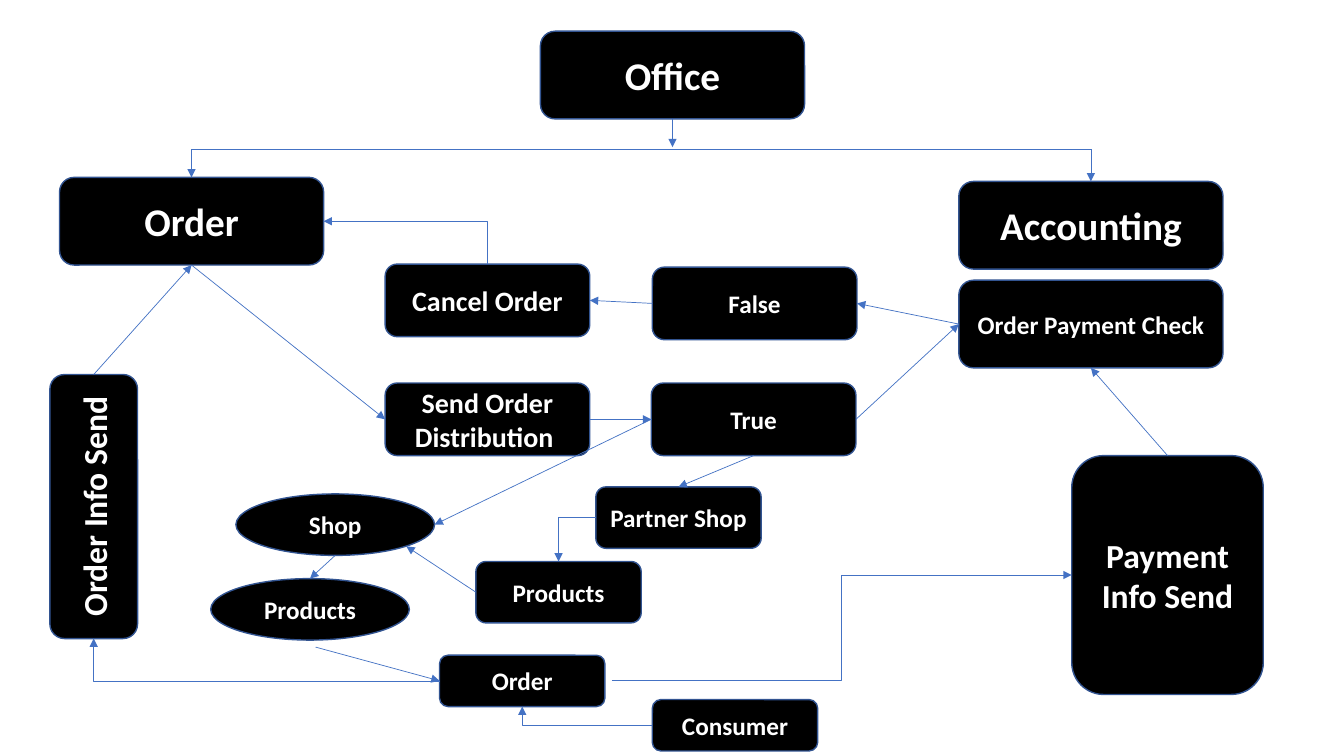
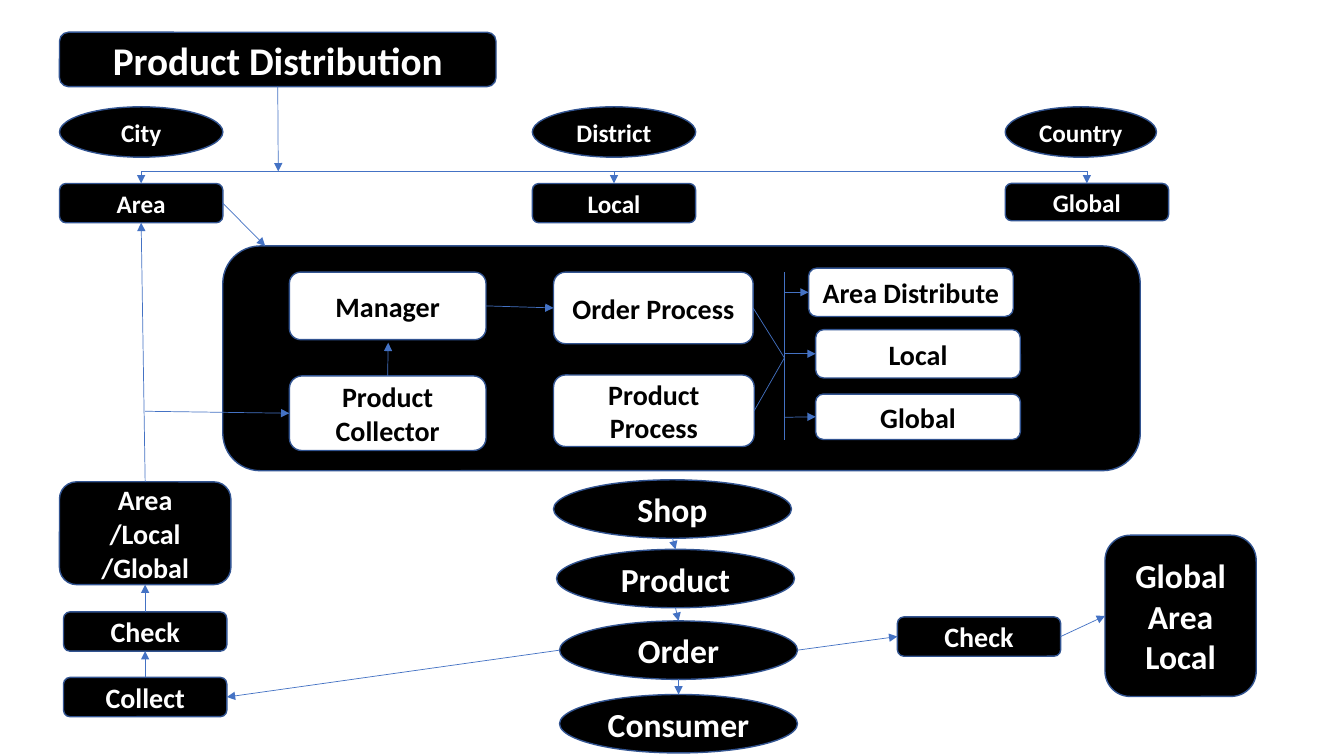
from dataclasses import dataclass
from typing import NamedTuple

from lxml.etree import SubElement
from pptx import Presentation
from pptx.dml.color import RGBColor
from pptx.enum.shapes import MSO_CONNECTOR as Connector, MSO_SHAPE as Preset
from pptx.enum.text import MSO_ANCHOR as Anchor, PP_ALIGN as Align
from pptx.oxml.ns import qn
from pptx.util import Inches, Pt

FONT = "Calibri"
COLORS = {
    "black": "000000",
    "white": "FFFFFF",
    "outline": "325491",
    "arrow": "4472C4",
}
SIDES = ["top", "left", "bottom", "right"]
ROUND = Preset.ROUNDED_RECTANGLE
OVAL = Preset.OVAL
Point = tuple[float, float]


@dataclass
class Box:
    key: str
    text: str
    left: float
    top: float
    width: float
    height: float
    size: int = 18
    preset: Preset = ROUND
    fill: str = "black"
    ink: str = "white"
    rotation: int = 0

    @property
    def turns(self) -> int:
        return (360 - self.rotation) // 90 % 4

    def point(self, side: str) -> Point:
        half_width, half_height = self.width / 2, self.height / 2
        x, y = self.left + half_width, self.top + half_height
        if self.turns % 2:
            half_width, half_height = half_height, half_width
        dx, dy = {"top": (0, -1), "left": (-1, 0), "bottom": (0, 1), "right": (1, 0)}[side]
        return x + dx * half_width, y + dy * half_height

    def site(self, side: str) -> int:
        index = (SIDES.index(side) - self.turns) % 4
        return index * 2 if self.preset == OVAL else index


class Link(NamedTuple):
    start: str | Point
    end: str | Point
    geometry: str = "line"
    arrow: str = "tailEnd"


def white_box(key: str, text: str, left: float, top: float, width: float, height: float) -> Box:
    return Box(key, text, left, top, width, height, 20, fill="white", ink="black")


def color(name: str) -> RGBColor:
    return RGBColor.from_string(COLORS[name])


def draw_box(slide, box: Box):
    shape = slide.shapes.add_shape(
        box.preset, Inches(box.left), Inches(box.top), Inches(box.width), Inches(box.height)
    )
    shape.rotation = box.rotation
    shape.shadow.inherit = False
    shape.fill.solid()
    shape.fill.fore_color.rgb = color(box.fill)
    shape.line.color.rgb = color("outline")
    shape.line.width = Pt(1)
    if not box.text:
        return shape
    frame = shape.text_frame
    frame.word_wrap = True
    frame.vertical_anchor = Anchor.MIDDLE
    paragraph = frame.paragraphs[0]
    paragraph.alignment = Align.CENTER
    for number, line in enumerate(box.text.split("\n")):
        if number:
            paragraph.add_line_break()
        run = paragraph.add_run()
        run.text = line
        run.font.name = FONT
        run.font.size = Pt(box.size)
        run.font.bold = True
        run.font.color.rgb = color(box.ink)
    return shape


def draw_link(slide, link: Link, boxes: dict, shapes: dict) -> None:
    points, glue = [], []
    for tag, target in (("a:stCxn", link.start), ("a:endCxn", link.end)):
        if isinstance(target, str):
            key, side = target.split(".")
            points.append(boxes[key].point(side))
            glue.append((tag, shapes[key].shape_id, boxes[key].site(side)))
        else:
            points.append(target)
    straight = link.geometry == "line"
    (x1, y1), (x2, y2) = points
    connector = slide.shapes.add_connector(
        Connector.STRAIGHT if straight else Connector.ELBOW,
        Inches(x1), Inches(y1), Inches(x2), Inches(y2),
    )
    connector.line.color.rgb = color("arrow")
    connector.line.width = Pt(0.5)
    properties = connector._element.spPr
    properties.find(qn("a:prstGeom")).set("prst", link.geometry)
    if link.arrow:
        SubElement(properties.find(qn("a:ln")), qn(f"a:{link.arrow}"), type="triangle")
    SubElement(properties, qn("a:effectLst"))
    if straight:
        holder = connector._element.xpath("./p:nvCxnSpPr/p:cNvCxnSpPr")[0]
        for tag, shape_id, site in glue:
            SubElement(holder, qn(tag), id=str(shape_id), idx=str(site))


def draw_flowchart(presentation, boxes: list[Box], links: list[Link]) -> None:
    slide = presentation.slides.add_slide(presentation.slide_layouts[6])
    by_key = {box.key: box for box in boxes}
    shapes = {box.key: draw_box(slide, box) for box in boxes}
    for link in links:
        draw_link(slide, link, by_key, shapes)


ORDER_BOXES = [
    Box("office", "Office", 5.36, 0.31, 2.62, 0.87, 28),
    Box("accounting", "Accounting", 9.51, 1.8, 2.62, 0.87, 28),
    Box("order", "Order", 0.59, 1.76, 2.62, 0.87, 28),
    Box("cancel", "Cancel Order", 3.82, 2.62, 2.03, 0.72, 20),
    Box("check", "Order Payment Check", 9.51, 2.78, 2.62, 0.87),
    Box("false", "False", 6.47, 2.65, 2.03, 0.72),
    Box("send", "Send Order Distribution ", 3.82, 3.8, 2.03, 0.72, 20),
    Box("true", "True", 6.46, 3.8, 2.03, 0.72),
    Box("shop", "Shop", 2.34, 4.9, 1.97, 0.61, preset=OVAL),
    Box("shop_products", "Products", 2.09, 5.74, 1.97, 0.61, preset=OVAL),
    Box("partner", "Partner Shop", 5.91, 4.83, 1.64, 0.61),
    Box("consumer_order", "Order", 4.36, 6.5, 1.64, 0.51),
    Box("payment_info", "Payment Info Send", 10.63, 4.52, 1.9, 2.37, 24),
    Box("consumer", "Consumer", 6.47, 6.94, 1.64, 0.51),
    Box("order_info", "Order Info Send", -0.38, 4.59, 2.62, 0.87, 24, rotation=270),
    Box("partner_products", "Products", 4.72, 5.57, 1.64, 0.61),
]
ORDER_LINKS = [
    Link((10.82, 1.48), "accounting.top"),
    Link("office.bottom", (6.67, 1.46)),
    Link((10.82, 1.48), "order.top", "bentConnector2"),
    Link("order_info.top", "order.bottom"),
    Link("consumer_order.left", "order_info.bottom", "bentConnector2"),
    Link((6.07, 6.75), "payment_info.left", "bentConnector3"),
    Link("true.bottom", "partner.top"),
    Link("partner.left", "partner_products.top", "bentConnector2"),
    Link("partner_products.left", (4.03, 5.42)),
    Link("shop.bottom", "shop_products.top"),
    Link((3.13, 6.42), "consumer_order.left"),
    Link("consumer.left", "consumer_order.bottom", "bentConnector2"),
    Link("payment_info.top", "check.bottom"),
    Link("true.right", "check.left"),
    Link("check.left", "false.right"),
    Link("false.left", "cancel.right"),
    Link("order.right", "cancel.top", "bentConnector2", "headEnd"),
    Link("order.bottom", "send.left"),
    Link("send.right", "true.left"),
    Link("true.left", "shop.right"),
]

COLUMNS = [0.59 + 4.69 * column for column in range(3)]
REGIONS = [("City", 1.62), ("District", 1.62), ("Country", 1.5)]
SCOPES = [("Area", 0.39), ("Local", 0.39), ("Global", 0.37)]
STAGES = [("Shop", 5.49, 4.76), ("Product", 5.52, 5.45), ("Order", 5.55, 6.16), ("Consumer", 5.55, 6.89)]
BUS_Y = 1.7
BRANCH_X = 7.78
JOIN = (BRANCH_X, 3.55)

DISTRIBUTION_BOXES = [
    Box("title", "Product Distribution", 0.59, 0.32, 4.33, 0.54, 28),
    *(Box(name, name, left, 1.06, width, 0.5, preset=OVAL)
      for left, (name, width) in zip(COLUMNS, REGIONS)),
    *(Box(name, name, left, 1.82, 1.62, height)
      for left, (name, height) in zip(COLUMNS, SCOPES)),
    Box("panel", "", 2.21, 2.44, 9.1, 2.23),
    white_box("manager", "Manager", 2.87, 2.7, 1.95, 0.67),
    white_box("collector", "Product Collector", 2.87, 3.73, 1.95, 0.74),
    white_box("order_process", "Order Process", 5.49, 2.7, 1.98, 0.71),
    white_box("product_process", "Product Process", 5.49, 3.72, 1.99, 0.71),
    white_box("to_area", "Area Distribute", 8.02, 2.66, 2.03, 0.48),
    white_box("to_local", "Local", 8.09, 3.27, 2.03, 0.48),
    white_box("to_global", "Global", 8.09, 3.91, 2.03, 0.45),
    Box("scope", "Area\n/Local\n/Global", 0.59, 4.78, 1.7, 1.02, 20),
    Box("collect_check", "Check", 0.63, 6.07, 1.62, 0.39, 20),
    Box("collect", "Collect", 0.63, 6.72, 1.62, 0.39, 20),
    *(Box(name, name, left, top, 2.36, 0.58, 24, OVAL) for name, left, top in STAGES),
    Box("order_check", "Check", 8.9, 6.12, 1.62, 0.39, 20),
    Box("result", "Global Area Local", 10.96, 5.31, 1.5, 1.6, 24),
]
DISTRIBUTION_LINKS = [
    Link((COLUMNS[0] + 0.81, BUS_Y), (COLUMNS[2] + 0.81, BUS_Y), arrow=""),
    *(Link((left + 0.81, BUS_Y), f"{name}.top") for left, (name, _) in zip(COLUMNS, SCOPES)),
    Link("title.bottom", (2.76, BUS_Y)),
    Link("scope.top", "Area.bottom"),
    Link("collect_check.top", "scope.bottom"),
    Link("collect.top", "collect_check.bottom"),
    Link("Order.left", "collect.right"),
    Link("Order.right", "order_check.left"),
    Link("order_check.right", "result.left"),
    *(Link(f"{upper[0]}.bottom", f"{lower[0]}.top") for upper, lower in zip(STAGES, STAGES[1:])),
    Link((1.44, 4.08), "collector.left"),
    Link("Area.right", (2.63, 2.44)),
    Link("collector.top", (3.85, 3.4)),
    Link("manager.right", "order_process.left"),
    Link((BRANCH_X, 2.7), (BRANCH_X, 4.37), arrow=""),
    *(Link((BRANCH_X, y), f"{key}.left")
      for key, y in (("to_area", 2.9), ("to_local", 3.51), ("to_global", 4.14))),
    Link("order_process.right", JOIN, arrow=""),
    Link("product_process.right", JOIN, arrow=""),
]


def main() -> None:
    presentation = Presentation()
    presentation.slide_width = Inches(13.33)
    presentation.slide_height = Inches(7.5)
    draw_flowchart(presentation, ORDER_BOXES, ORDER_LINKS)
    draw_flowchart(presentation, DISTRIBUTION_BOXES, DISTRIBUTION_LINKS)
    presentation.save("out.pptx")


if __name__ == "__main__":
    main()
